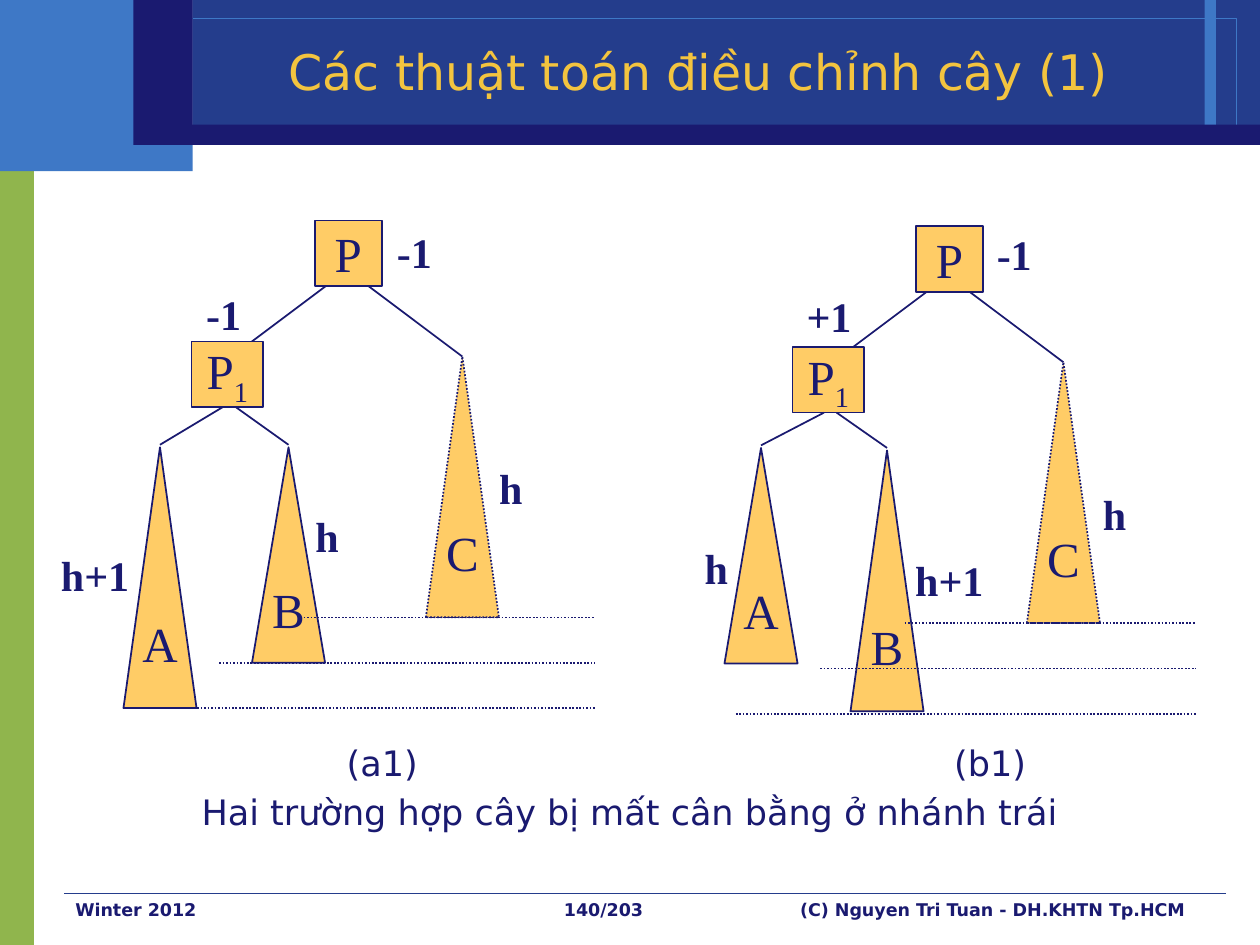
from typing import NamedTuple

from lxml.etree import SubElement as Sub
from pptx import Presentation
from pptx.dml.color import RGBColor as Rgb
from pptx.enum.dml import MSO_LINE as Dash
from pptx.enum.shapes import MSO_CONNECTOR as Conn, MSO_SHAPE as Kind
from pptx.enum.text import MSO_ANCHOR as Anchor, PP_ALIGN as Align
from pptx.oxml.ns import qn
from pptx.util import Inches, Pt

SANS, SERIF = "DejaVu Sans", "Times New Roman"
NAVY, BLUE, SKY = "1A1A70", "243D8C", "3E78C6"
GREEN, GOLD, SAND = "90B54D", "F3C43F", "FFCC66"
HAIR = 0.1

deck = Presentation()
deck.slide_width, deck.slide_height = Inches(10), Inches(7.5)
# The slide is a grid of 100 columns and 75 rows
COL, ROW = deck.slide_width / 100, deck.slide_height / 75


class Box(NamedTuple):
    x: float
    y: float
    w: float
    h: float

    def move(self, dx: float, dy: float) -> "Box":
        return self._replace(x=self.x + dx, y=self.y + dy)

    def emu(self) -> list[int]:
        return [round(v * u) for v, u in zip(self, (COL, ROW, COL, ROW))]


class Leaf(NamedTuple):
    name: str
    box: Box
    dots: bool = False


class Mark(NamedTuple):
    text: str
    box: Box


class Tree(NamedTuple):
    dx: float
    dy: float
    left: Leaf
    right: Leaf
    marks: list[Mark]


def tint(code: str) -> Rgb:
    return Rgb.from_string(code)


def write(shape, text: str, *, size: float, face: str = SANS, color: str = NAVY,
          bold: bool = False, align=Align.LEFT, anchor=Anchor.TOP,
          wrap: bool = True, gap: float = 0, tabs: tuple = ()) -> None:
    """Fill a shape: one paragraph a line, '_' starts a subscript."""
    frame = shape.text_frame
    frame.word_wrap, frame.vertical_anchor = wrap, anchor
    for i, line in enumerate(text.split("\n")):
        para = frame.add_paragraph() if i else frame.paragraphs[0]
        para.alignment = align
        if i:
            para.space_before = Pt(gap)
        if "\t" in line:
            para.alignment = Align.LEFT
            stops = Sub(para._p.get_or_add_pPr(), qn("a:tabLst"))
            for pos in tabs:
                Sub(stops, qn("a:tab"), pos=str(round(pos * COL)), algn="ctr")
        for j, part in enumerate(line.split("_")):
            run = para.add_run()
            run.text = part
            font = run.font
            font.size, font.name, font.bold = Pt(size), face, bold
            font.color.rgb = tint(color)
            if j:
                run._r.get_or_add_rPr().set("baseline", "-25000")


def label(pool, text: str, box: Box, **form) -> None:
    write(pool.add_textbox(*box.emu()), text, **form)


def block(pool, box: Box, *, fill: str = "", line: str = "", width: float = 1,
          kind=Kind.RECTANGLE, dots: bool = False):
    shape = pool.add_shape(kind, *box.emu())
    shape.shadow.inherit = False
    if fill:
        shape.fill.solid()
        shape.fill.fore_color.rgb = tint(fill)
    else:
        shape.fill.background()
    if line:
        shape.line.color.rgb, shape.line.width = tint(line), Pt(width)
        if dots:
            shape.line.dash_style = Dash.ROUND_DOT
    else:
        shape.line.fill.background()
    return shape


def rule(pool, x1: float, y1: float, x2: float, y2: float, *,
         color: str = NAVY, width: float = 1, dots: bool = False) -> None:
    ends = (x1 * COL, y1 * ROW, x2 * COL, y2 * ROW)
    wire = pool.add_connector(Conn.STRAIGHT, *map(round, ends))
    wire.line.color.rgb, wire.line.width = tint(color), Pt(width)
    if dots:
        wire.line.dash_style = Dash.ROUND_DOT
    Sub(wire._element.spPr, qn("a:effectLst"))


def node(pool, name: str, box: Box, kind=Kind.RECTANGLE, dots: bool = False) -> None:
    shape = block(pool, box, fill=SAND, line=NAVY, kind=kind, dots=dots)
    write(shape, name, size=28, face=SERIF, align=Align.CENTER,
          anchor=Anchor.MIDDLE, wrap=False)


def grow(pool, tree: Tree) -> None:
    dx, dy = tree.dx, tree.dy

    def edge(x1: float, y1: float, x2: float, y2: float, dots: bool = False) -> None:
        rule(pool, x1 + dx, y1 + dy, x2 + dx, y2 + dy, dots=dots)

    # Root and its left child
    edge(29.1, 22.6, 36.7, 28.3)
    edge(28, 21.1, 18.4, 28.3)
    node(pool, "P", Box(25, 17.5, 5.3, 5.2).move(dx, dy))
    node(pool, "P_1", Box(15.2, 27.1, 5.7, 5.2).move(dx, dy))
    # Subtrees
    for leaf in (tree.left, tree.right, Leaf("C", Box(33.8, 28.3, 5.8, 20.7), True)):
        node(pool, leaf.name, leaf.box.move(dx, dy), Kind.ISOSCELES_TRIANGLE, leaf.dots)
    # Depth levels
    for i in range(3):
        y = 56.2 - 3.6 * i
        edge(10.7 + 6.7 * i, y, 47.2, y, dots=True)
    # Edges from the left child to the tip of each subtree
    for x, leaf in ((17.7, tree.left), (18.7, tree.right)):
        box = leaf.box
        edge(x, 32.3, box.x + box.w / 2, box.y - 0.2)
    # Heights and balance factors
    for mark in tree.marks:
        label(pool, mark.text, mark.box.move(dx, dy), size=24, face=SERIF,
              bold=True, align=Align.CENTER)


TREES = [
    Tree(0, 0, Leaf("A", Box(9.8, 35.5, 5.8, 20.7)),
         Leaf("B", Box(20, 35.5, 5.8, 17.1)),
         [Mark("-1", Box(30.1, 17.5, 5.6, 5)), Mark("h", Box(37.3, 36.2, 6.5, 5)),
          Mark("h", Box(22.7, 40, 6.5, 5)), Mark("h+1", Box(3.3, 43.1, 8.5, 5)),
          Mark("-1", Box(12.3, 22.4, 10.9, 5))]),
    Tree(47.7, 0.45, Leaf("A", Box(9.8, 35.1, 5.8, 17.1)),
         Leaf("B", Box(19.8, 35.3, 5.8, 20.7)),
         [Mark("-1", Box(30, 17.2, 5.6, 5)), Mark("h", Box(37.5, 37.8, 6.5, 5)),
          Mark("h", Box(5.9, 42.1, 6.5, 5)), Mark("h+1", Box(23.4, 43.1, 8.5, 5)),
          Mark("+1", Box(15.3, 22.1, 5.6, 5))]),
]


def main() -> None:
    slide = deck.slides.add_slide(deck.slide_layouts[6])
    pool = slide.shapes

    # Side bar and header bands
    block(pool, Box(0, 10.7, 2.7, 64.3), fill=GREEN)
    block(pool, Box(0, 0, 15.3, 13.6), fill=SKY)
    block(pool, Box(15.3, 0, 84.7, 11.5), fill=BLUE)
    block(pool, Box(95.6, 0, 0.9, 10), fill=SKY)
    block(pool, Box(2, 1.45, 96.1, 8.5), line=SKY, width=HAIR)
    rule(pool, 5.1, 70.9, 97.3, 70.9, color=BLUE, width=HAIR)
    block(pool, Box(13, 9.9, 87, 1.6), fill=NAVY)
    block(pool, Box(10.6, 0, 4.7, 11.5), fill=NAVY)

    # Footer
    for text, x, w, align in (
            ("140/203", 40, 15.8, Align.CENTER),
            ("Winter 2012", 5, 23.3, Align.LEFT),
            ("(C) Nguyen Tri Tuan - DH.KHTN Tp.HCM", 59.2, 35.8, Align.RIGHT)):
        label(pool, text, Box(x, 70.85, w, 4.15), size=10, bold=True, align=align)

    # Title and caption
    label(pool, "Các thuật toán điều chỉnh cây (1)", Box(15, 2.5, 80.8, 6.2),
          size=28, color=GOLD, align=Align.CENTER, anchor=Anchor.MIDDLE)
    label(pool, "\t(a1)\t(b1)\nHai trường hợp cây bị mất cân bằng ở nhánh trái",
          Box(7.5, 58.35, 85, 9.9), size=20, align=Align.CENTER, gap=4,
          tabs=(21.85, 70.1))

    # The two unbalanced trees
    for tree in TREES:
        grow(pool.add_group_shape().shapes, tree)

    deck.save("out.pptx")


if __name__ == "__main__":
    main()
